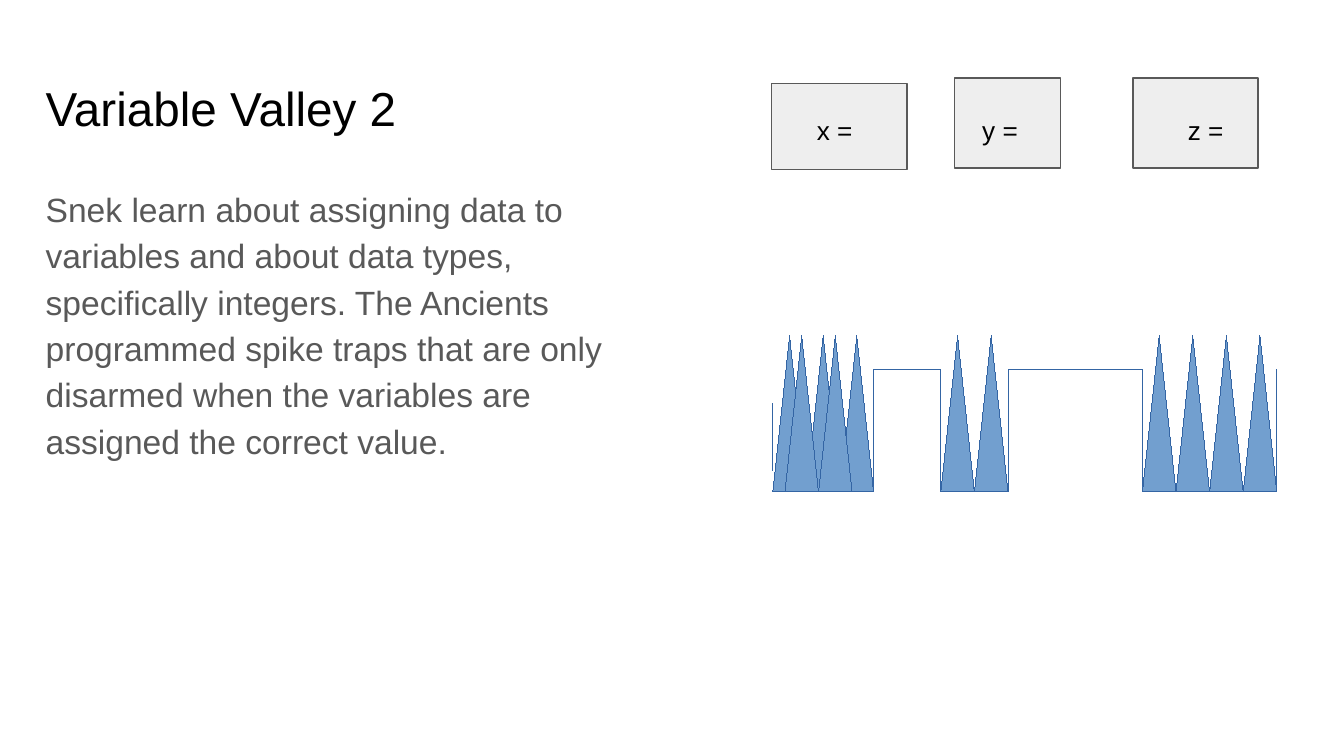
from dataclasses import dataclass

from pptx import Presentation
from pptx import util as u
from pptx.dml.color import RGBColor
from pptx.enum import shapes, text
from pptx.oxml.ns import qn
from lxml import etree


@dataclass(frozen=True)
class Theme:
    font: str = "Arial"
    title_size: float = 25.5
    body_size: float = 18
    label_size: float = 14
    black: str = "000000"
    gray: str = "595959"
    box_fill: str = "EEEEEE"
    spike_fill: str = "729FCF"
    terrain_line: str = "3465A4"


THEME = Theme()

# Heights shared by the terrain and the spikes
SPIKE_TOP, GROUND, FLOOR = 2.5, 2.75, 3.66
SPIKE_WIDTH = 0.25


def set_outline(shape, color, width):
    shape.line.color.rgb = RGBColor.from_string(color)
    # A hairline needs its zero width written out to override the style
    outline = shape._element.spPr.find(qn("a:ln"))
    outline.set("w", str(int(u.Pt(width))))


def paint(shape, fill, line, width):
    shape.shadow.inherit = False
    shape.fill.solid()
    shape.fill.fore_color.rgb = RGBColor.from_string(fill)
    set_outline(shape, line, width)


def add_text(page, words, left, top, width, height, size, color=THEME.black,
             side_inset=0.0, line_spacing=None, space_after=None, grow=False):
    box = page.shapes.add_textbox(*map(u.Inches, (left, top, width, height)))
    frame = box.text_frame
    frame.word_wrap = True
    frame.vertical_anchor = text.MSO_ANCHOR.TOP
    if grow:
        frame.auto_size = text.MSO_AUTO_SIZE.SHAPE_TO_FIT_TEXT
    frame.margin_left = frame.margin_right = u.Inches(side_inset)
    frame.margin_top = frame.margin_bottom = u.Inches(0.1)
    para = frame.paragraphs[0]
    if line_spacing:
        para.line_spacing = line_spacing
    if space_after:
        para.space_after = u.Pt(space_after)
    span = para.add_run()
    span.text = words
    span.font.name = THEME.font
    span.font.size = u.Pt(size)
    span.font.color.rgb = RGBColor.from_string(color)


def add_box(page, left, top, width, height):
    box = page.shapes.add_shape(shapes.MSO_SHAPE.RECTANGLE,
                                *map(u.Inches, (left, top, width, height)))
    paint(box, THEME.box_fill, THEME.gray, 0.75)


def add_line(page, start, end):
    line = page.shapes.add_connector(shapes.MSO_CONNECTOR.STRAIGHT,
                                     *map(u.Inches, (*start, *end)))
    set_outline(line, THEME.terrain_line, 0)
    etree.SubElement(line._element.spPr, qn("a:effectLst"))


def add_spike(page, left):
    builder = page.shapes.build_freeform(u.Inches(left + SPIKE_WIDTH / 2),
                                         u.Inches(SPIKE_TOP))
    builder.add_line_segments([
        (u.Inches(left + SPIKE_WIDTH), u.Inches(FLOOR)),
        (u.Inches(left), u.Inches(FLOOR)),
    ], close=True)
    paint(builder.convert_to_shape(), THEME.spike_fill, THEME.terrain_line, 0)


def main():
    # Widescreen deck, 16 by 9
    deck = Presentation()
    deck.slide_width = u.Inches(10)
    deck.slide_height = u.Inches(10 * 9 / 16)
    page = deck.slides.add_slide(deck.slide_layouts[6])

    # Variable boxes
    for bounds in ((7.1, 0.58, 0.79, 0.67), (8.43, 0.58, 0.93, 0.67),
                   (5.74, 0.62, 1.01, 0.64)):
        add_box(page, *bounds)

    # Title and story
    add_text(page, "Variable Valley 2", 0.34, 0.49, 3.03, 0.63,
             THEME.title_size)
    add_text(page, "Snek learn about assigning data to variables and about "
             "data types, specifically integers. The Ancients programmed "
             "spike traps that are only disarmed when the variables are "
             "assigned the correct value.", 0.34, 1.26, 4.66, 3.74,
             THEME.body_size, color=THEME.gray, line_spacing=1.15,
             space_after=12)

    # Variable labels
    for words, left, width in (("x =", 5.98, 1.13), ("y =", 7.21, 1.13),
                               ("z =", 8.74, 1.01)):
        add_text(page, words, left, 0.75, width, 0.43, THEME.label_size,
                 side_inset=0.1, grow=True)

    # Terrain: left edge, pit walls, raised ground and pit floors
    add_line(page, (5.75, 3), (5.75, 3.5))
    for x in (6.5, 7, 7.5, 8.5, 9.5):
        add_line(page, (x, FLOOR), (x, GROUND))
    for left, right, y in ((6.5, 7, GROUND), (7, 7.5, FLOOR),
                           (7.5, 8, GROUND), (8, 8.5, GROUND),
                           (8.5, 9, FLOOR), (9, 9.5, FLOOR)):
        add_line(page, (left, y), (right, y))

    # Spikes side by side in each pit, then two overlapping the first row
    for pit_left, count in ((5.75, 3), (7, 2), (8.5, 4)):
        for index in range(count):
            add_spike(page, pit_left + index * SPIKE_WIDTH)
    for left in (5.84, 6.09):
        add_spike(page, left)

    deck.save("out.pptx")


if __name__ == "__main__":
    main()
